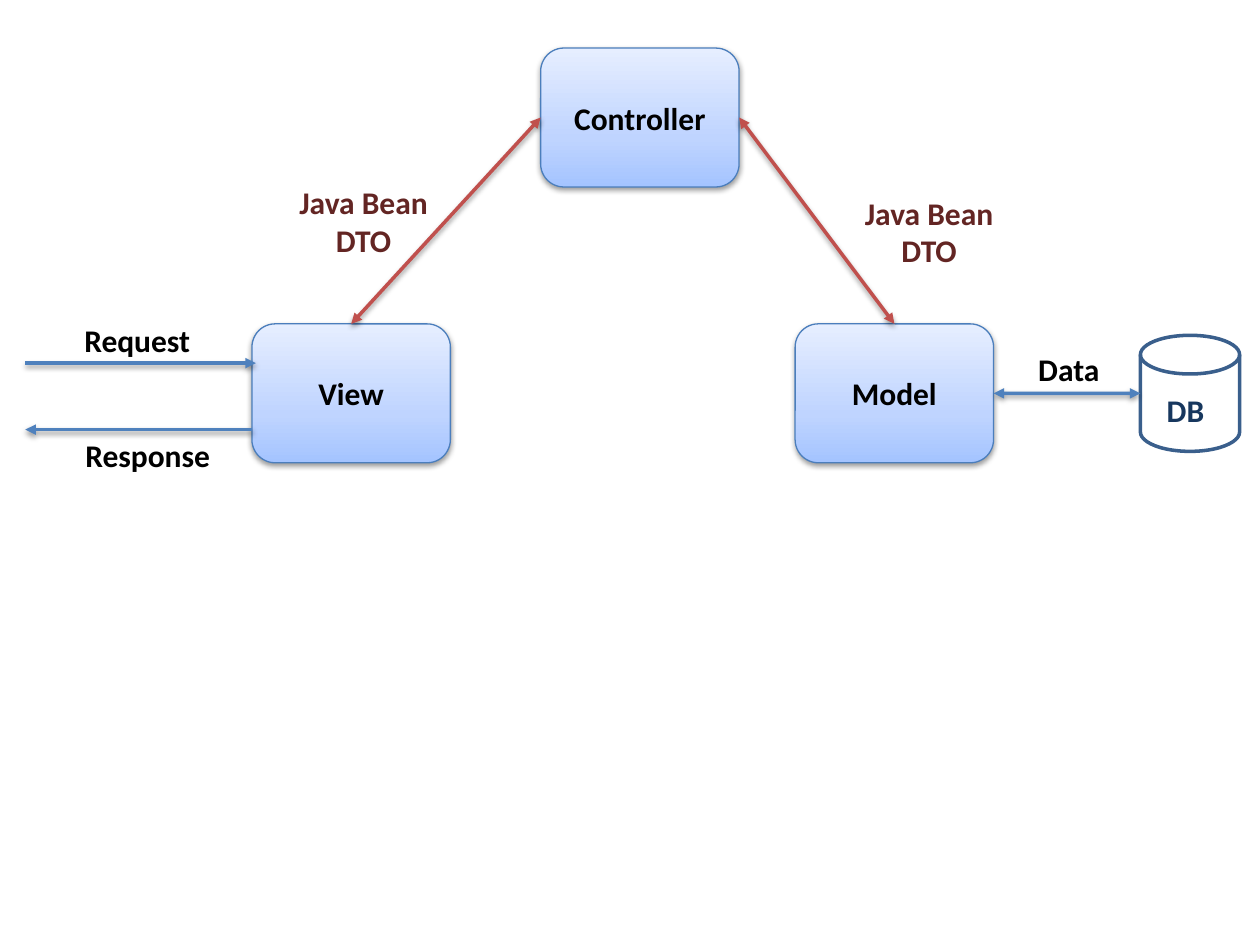
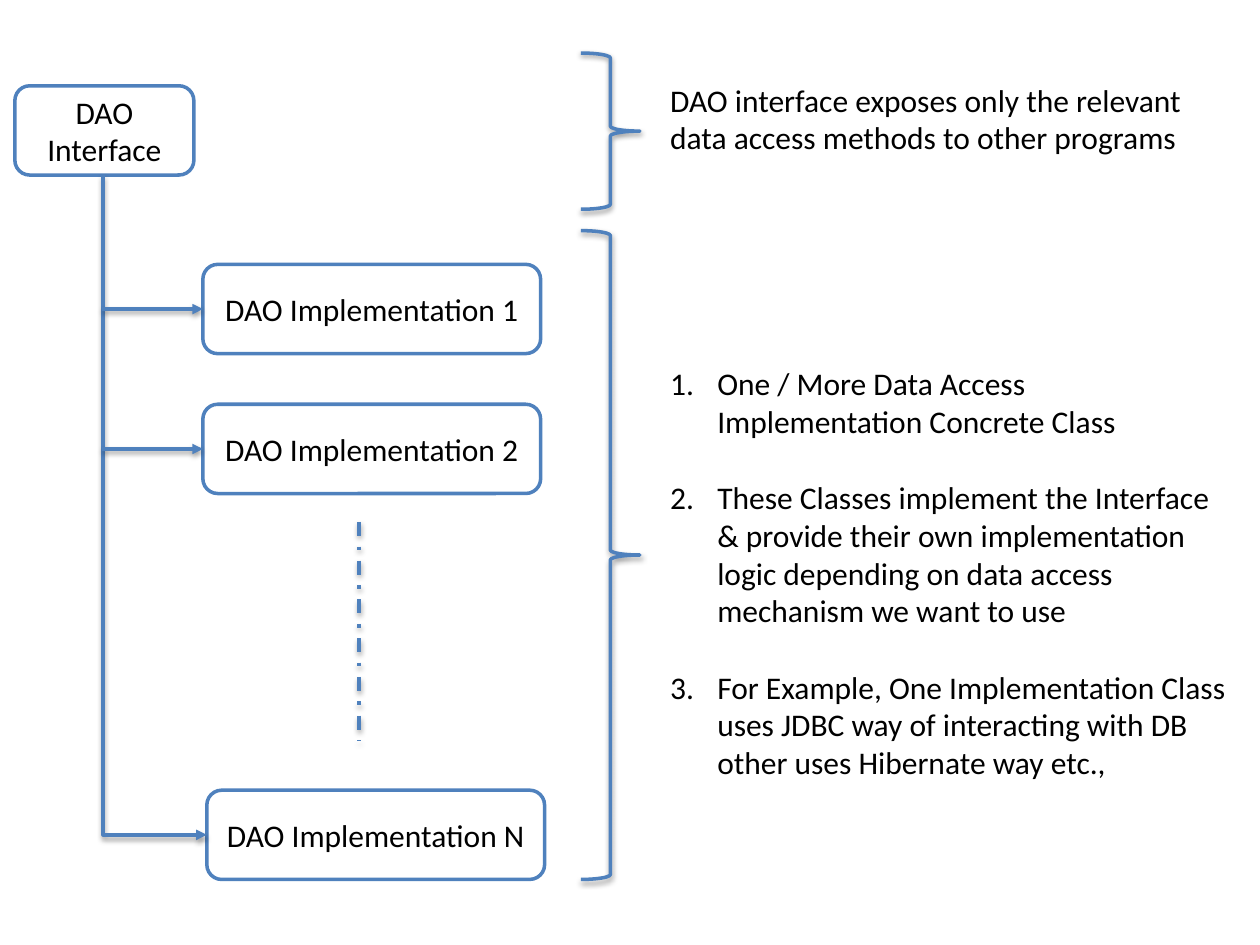
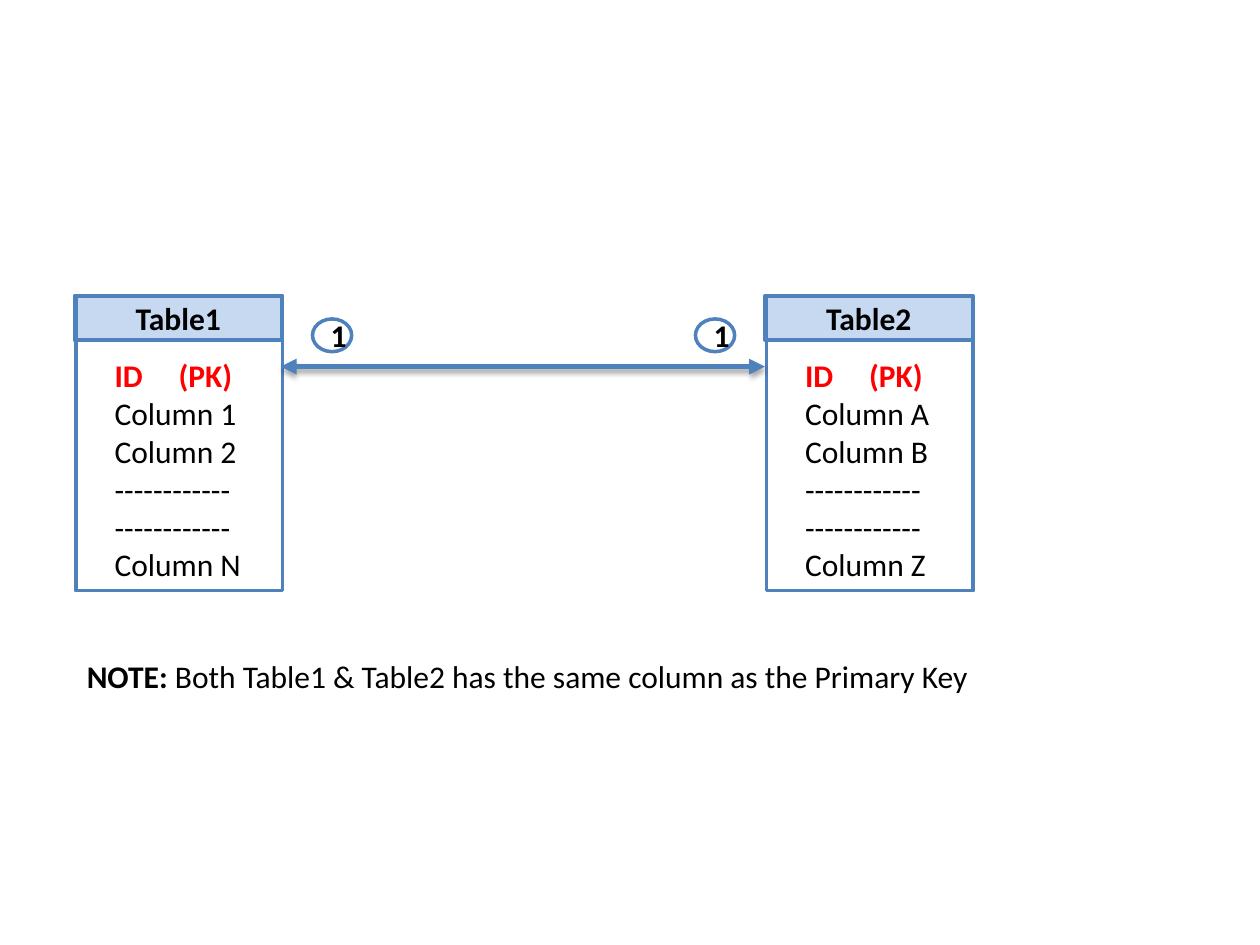
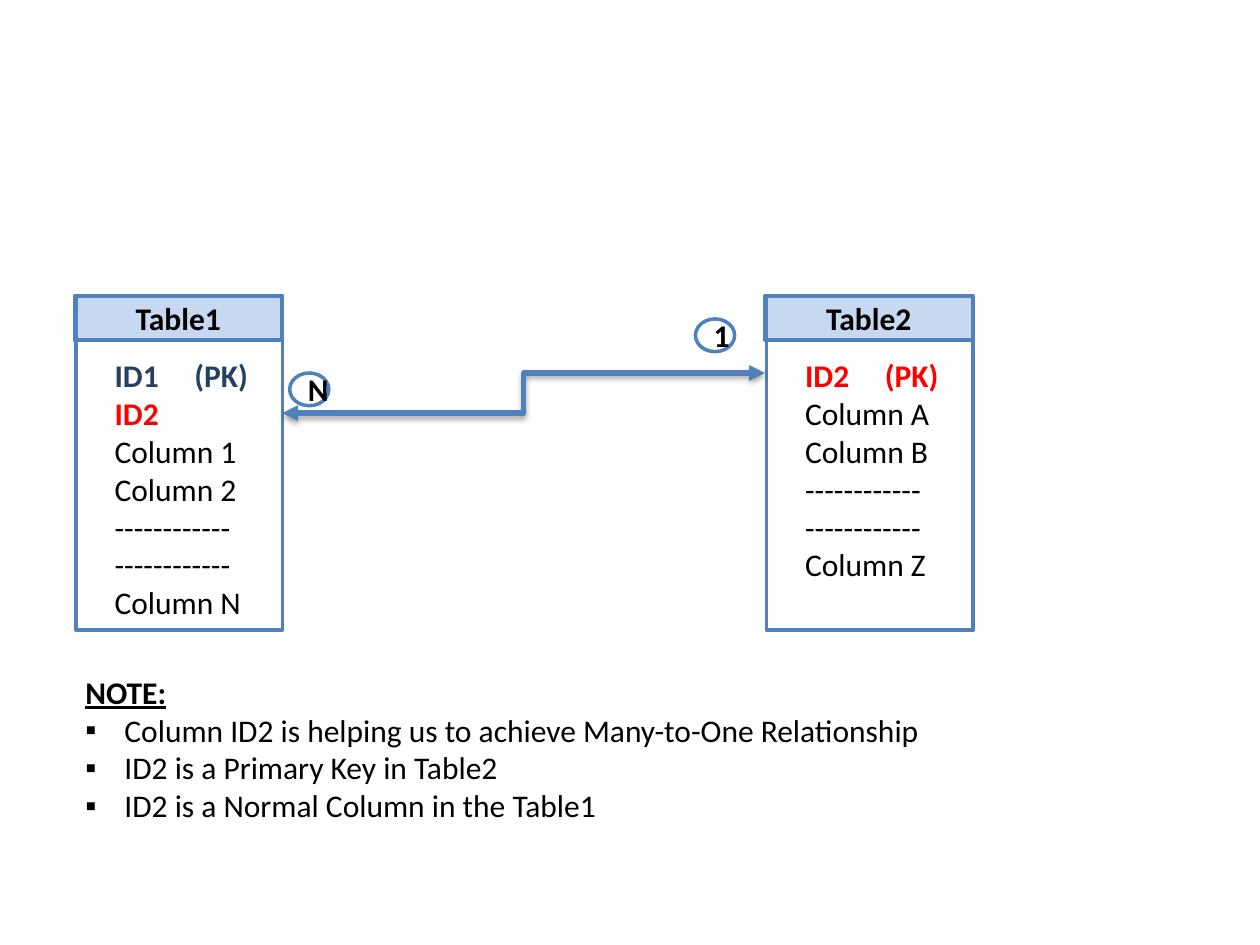
"""Build four slides on MVC, DAO and table relationships."""
import copy

import lxml.etree
import pptx
import pptx.dml.color
import pptx.enum.dml
import pptx.enum.shapes
import pptx.enum.text
import pptx.oxml.ns
import pptx.util

Cm = pptx.util.Cm
Pt = pptx.util.Pt
RGBColor = pptx.dml.color.RGBColor
SHAPE = pptx.enum.shapes.MSO_SHAPE
CONNECTOR = pptx.enum.shapes.MSO_CONNECTOR
ALIGN = pptx.enum.text.PP_ALIGN
qn = pptx.oxml.ns.qn

FONT = "Calibri"
BLACK = RGBColor(0x00, 0x00, 0x00)
WHITE = RGBColor(0xFF, 0xFF, 0xFF)
BLUE = RGBColor(0x4F, 0x81, 0xBD)
BOX_EDGE = RGBColor(0x4B, 0x7E, 0xBC)
DISK_EDGE = RGBColor(0x3A, 0x5F, 0x8C)
HEADER_FILL = RGBColor(0xC6, 0xD9, 0xF1)
NAVY = RGBColor(0x17, 0x37, 0x5E)
KEY_NAVY = RGBColor(0x25, 0x40, 0x61)
RED = RGBColor(0xC0, 0x50, 0x4D)
MAROON = RGBColor(0x63, 0x25, 0x23)
KEY_RED = RGBColor(0xFF, 0x00, 0x00)
BOX_STOPS = [(0, RGBColor(0xA4, 0xC4, 0xFF)), (0.35, RGBColor(0xBF, 0xD4, 0xFF)),
             (1, RGBColor(0xE6, 0xEE, 0xFF))]


def add_xml(parent, tag, **attrs):
    """Append a DrawingML element and return it."""
    return lxml.etree.SubElement(parent, qn(tag), attrs)


def add_shadow(shape, alpha=38, distance=1.6):
    """Give a shape or connector a soft shadow below it."""
    spPr = shape._element.spPr
    effects = spPr.find(qn("a:effectLst"))
    if effects is None:
        effects = add_xml(spPr, "a:effectLst")
    shadow = add_xml(effects, "a:outerShdw", blurRad=str(Pt(3.1)), dist=str(Pt(distance)),
                     dir="5400000", rotWithShape="0")
    add_xml(add_xml(shadow, "a:srgbClr", val="000000"), "a:alpha", val=str(alpha * 1000))


def put_text(tf, lines, color=BLACK, bold=False, align=ALIGN.LEFT):
    """Write one paragraph for each line in the common font."""
    for i, line in enumerate(lines):
        p = tf.add_paragraph() if i else tf.paragraphs[0]
        p.text = line
        p.alignment = align
        p.font.name, p.font.size, p.font.bold = FONT, Pt(18), bold
        p.font.color.rgb = color


def add_label(s, left, top, width, height, lines, wrap=False, **style):
    """Add a text box and return its text frame."""
    tf = s.shapes.add_textbox(Cm(left), Cm(top), Cm(width), Cm(height)).text_frame
    tf.word_wrap = wrap
    tf.auto_size = pptx.enum.text.MSO_AUTO_SIZE.SHAPE_TO_FIT_TEXT
    put_text(tf, lines, **style)
    return tf


def add_box(s, kind, left, top, width, height, text="", fill=None, edge=BLUE, weight=2, bold=False):
    """Add an outlined preset shape, with centred text if given."""
    sp = s.shapes.add_shape(kind, Cm(left), Cm(top), Cm(width), Cm(height))
    sp.shadow.inherit = False
    if fill is None:
        sp.fill.background()
    else:
        sp.fill.solid()
        sp.fill.fore_color.rgb = fill
    sp.line.color.rgb = edge
    sp.line.width = Pt(weight)
    if text:
        put_text(sp.text_frame, [text], bold=bold, align=ALIGN.CENTER)
    return sp


def add_layer(s, left, top, text):
    """Add a shaded box for one MVC layer."""
    sp = add_box(s, SHAPE.FLOWCHART_ALTERNATE_PROCESS, left, top, 4, 2.8, text,
                 edge=BOX_EDGE, weight=0.75, bold=True)
    sp.fill.gradient()
    sp.fill.gradient_angle = 90
    stops = sp._element.spPr.find(qn("a:gradFill")).find(qn("a:gsLst"))
    stops.insert(1, copy.deepcopy(stops[0]))
    for stop, (position, color) in zip(sp.fill.gradient_stops, BOX_STOPS):
        stop.position = position
        stop.color.rgb = color
    add_shadow(sp)
    return sp


def add_line(s, x1, y1, x2, y2, color=BLUE, weight=2, ends="tail", kind=CONNECTOR.STRAIGHT,
             begin=None, end=None):
    """Add a shadowed connector with arrowheads at the named ends."""
    c = s.shapes.add_connector(kind, Cm(x1), Cm(y1), Cm(x2), Cm(y2))
    if begin:
        c.begin_connect(*begin)
    if end:
        c.end_connect(*end)
    c.line.color.rgb = color
    c.line.width = Pt(weight)
    for name in ends.split():
        add_xml(c.line._get_or_add_ln(), f"a:{name}End", type="triangle")
    if weight > 2:
        add_shadow(c, 35, 1.8)
    else:
        add_shadow(c)
    return c


def add_down_elbow(s, x1, y1, x2, y2):
    """Add an arrow that runs down and then turns right."""
    mid_x, mid_y = (x1 + x2) / 2, (y1 + y2) / 2
    half_w, half_h = (y2 - y1) / 2, (x2 - x1) / 2
    c = add_line(s, mid_x + half_w, mid_y - half_h, mid_x - half_w, mid_y + half_h,
                 kind=CONNECTOR.ELBOW)
    spPr = c._element.spPr
    spPr.find(qn("a:xfrm")).set("rot", "16200000")
    spPr.find(qn("a:prstGeom")).set("prst", "bentConnector2")


def add_property(p, tag, **attrs):
    """Place a paragraph property ahead of the default font."""
    el = lxml.etree.Element(qn(tag), attrs)
    p._p.get_or_add_pPr().find(qn("a:defRPr")).addprevious(el)
    return el


def set_indent(p, indent):
    """Give a paragraph a hanging indent."""
    pPr = p._p.get_or_add_pPr()
    pPr.set("marL", str(Cm(indent)))
    pPr.set("indent", str(-Cm(indent)))


def add_entity(s, left, name, keys, columns, height):
    """Add a database table with coloured keys and plain columns."""
    add_box(s, SHAPE.RECTANGLE, left, 5.97, 4.19, 0.89, name, fill=HEADER_FILL, bold=True)
    add_box(s, SHAPE.RECTANGLE, left + 0.03, 5.97, 4.17, height)
    rows = [key for key, _ in keys] + columns
    tf = add_label(s, left + 0.56, 7.06, 3.3, 0.25 + 0.77 * len(rows), rows, wrap=True)
    for p, (key, color) in zip(tf.paragraphs, keys):
        p.font.bold = True
        p.font.color.rgb = color
        if "\t" in key:
            stop = 0.65 + 0.32 * key.index("\t")
            add_xml(add_property(p, "a:tabLst"), "a:tab", pos=str(Cm(stop)), algn="l")


def add_cardinality(s, left, top, text):
    """Add a ringed cardinality mark."""
    add_box(s, SHAPE.FLOWCHART_CONNECTOR, left, top, 0.79, 0.66, text, bold=True)


def columns_to(last, *first):
    """List the first columns, two dashed rows and the last column."""
    return [f"Column {c}" for c in first] + ["-" * 12] * 2 + [f"Column {last}"]


def build_mvc(s):
    """Draw the model, view and controller."""
    view = add_layer(s, 5.08, 6.53, "View")
    controller = add_layer(s, 10.9, 0.97, "Controller")
    model = add_layer(s, 16.03, 6.53, "Model")
    add_box(s, SHAPE.FLOWCHART_MAGNETIC_DISK, 22.99, 6.76, 2, 2.34, edge=DISK_EDGE)
    add_label(s, 23.27, 7.75, 1.42, 1.02, ["DB"], wrap=True, color=NAVY, bold=True)
    add_line(s, 0.51, 7.32, 5.16, 7.32)
    add_line(s, 5.08, 8.66, 0.51, 8.66)
    both = "head tail"
    add_line(s, 7.08, 6.53, 10.9, 2.37, RED, ends=both, begin=(view, 0), end=(controller, 1))
    add_line(s, 14.9, 2.37, 18.03, 6.53, RED, ends=both, begin=(controller, 3), end=(model, 0))
    add_line(s, 20.03, 7.93, 22.99, 7.93, ends=both, begin=(model, 3))
    for left, top, width, text in [(1.45, 6.35, 2.67, "Request"), (1.47, 8.66, 3.05, "Response"),
                                   (20.68, 6.93, 1.75, "Data")]:
        add_label(s, left, top, width, 1.02, [text], bold=True)
    for left, top in [(5.77, 3.56), (17.17, 3.78)]:
        add_label(s, left, top, 3.12, 1.8, ["Java Bean", "DTO"], color=MAROON, bold=True,
                  align=ALIGN.CENTER)


def build_dao(s):
    """Draw the DAO interface with its implementations."""
    add_box(s, SHAPE.ROUNDED_RECTANGLE, 0.3, 1.73, 3.61, 1.8, "DAO Interface", fill=WHITE)
    boxes = [add_box(s, SHAPE.ROUNDED_RECTANGLE, left, top, 6.81, 1.8,
                     f"DAO Implementation {number}", fill=WHITE)
             for left, top, number in [(4.09, 5.33, 1), (4.09, 8.15, 2), (4.17, 15.93, "N")]]
    add_down_elbow(s, 2.08, 3.53, 4.17, 16.83)
    for box, y in zip(boxes, (6.23, 9.05)):
        add_line(s, 2.06, y, 4.09, y, end=(box, 1))
    gap = add_line(s, 7.24, 10.52, 7.24, 14.94, ends="")
    gap.line.dash_style = pptx.enum.dml.MSO_LINE.DASH_DOT
    for top, height in [(1.07, 3.15), (4.65, 13.08)]:
        add_shadow(add_box(s, SHAPE.RIGHT_BRACE, 11.71, top, 1.19, height))
    add_label(s, 13.26, 1.5, 11.84, 1.8, [
        "DAO interface exposes only the relevant data access methods to other programs"], wrap=True)
    tf = add_label(s, 13.26, 7.21, 11.84, 8.71, [
        "One / More Data Access Implementation Concrete Class",
        "These Classes implement the Interface & provide their own implementation logic "
        "depending on data access mechanism we want to use",
        "For Example, One Implementation Class uses JDBC way of interacting with DB "
        "other uses Hibernate way etc.,"], wrap=True)
    for p in tf.paragraphs:
        set_indent(p, 0.95)
        add_property(p, "a:buFont", typeface="+mj-lt")
        add_property(p, "a:buAutoNum", type="arabicPeriod")
    for p in tf.paragraphs[:-1]:
        p.space_after = Pt(22)


def build_one_to_one(s):
    """Draw two tables that share a primary key."""
    keys = [("ID\t(PK)", KEY_RED)]
    add_entity(s, 1.5, "Table1", keys, columns_to("N", 1, 2), 5.94)
    add_entity(s, 15.42, "Table2", keys, columns_to("Z", "A", "B"), 5.94)
    for left in (6.3, 14.02):
        add_cardinality(s, left, 6.43, "1")
    add_line(s, 5.66, 7.39, 15.42, 7.39, weight=3, ends="head tail")
    p = add_label(s, 1.5, 13.13, 18.64, 1.02, ["NOTE: "]).paragraphs[0]
    p.runs[0].font.bold = True
    p.add_run().text = "Both Table1 & Table2 has the same column as the Primary Key"


def build_many_to_one(s):
    """Draw two tables joined many to one."""
    add_entity(s, 1.5, "Table1", [("ID1\t(PK)", KEY_NAVY), ("ID2", KEY_RED)],
               columns_to("N", 1, 2), 6.73)
    add_entity(s, 15.42, "Table2", [("ID2\t(PK)", KEY_RED)], columns_to("Z", "A", "B"), 6.73)
    add_cardinality(s, 5.84, 7.52, "N")
    add_cardinality(s, 14.02, 6.43, "1")
    add_line(s, 5.69, 8.33, 15.42, 7.52, weight=3, ends="head tail", kind=CONNECTOR.ELBOW)
    tf = add_label(s, 1.47, 13.44, 17.68, 3.33, [
        "NOTE:", "Column ID2 is helping us to achieve Many-to-One Relationship",
        "ID2 is a Primary Key in Table2", "ID2 is a Normal Column in the Table1"])
    heading, *points = tf.paragraphs
    heading.font.bold = heading.font.underline = True
    for p in points:
        set_indent(p, 0.79)
        add_property(p, "a:buFont", typeface="Arial")
        add_property(p, "a:buChar", char="▪")


def main():
    """Build and save the slides."""
    prs = pptx.Presentation()
    prs.slide_width, prs.slide_height = Cm(25.4), Cm(19.05)
    for build in (build_mvc, build_dao, build_one_to_one, build_many_to_one):
        build(prs.slides.add_slide(prs.slide_layouts[6]))
    prs.save("out.pptx")


if __name__ == "__main__":
    main()
